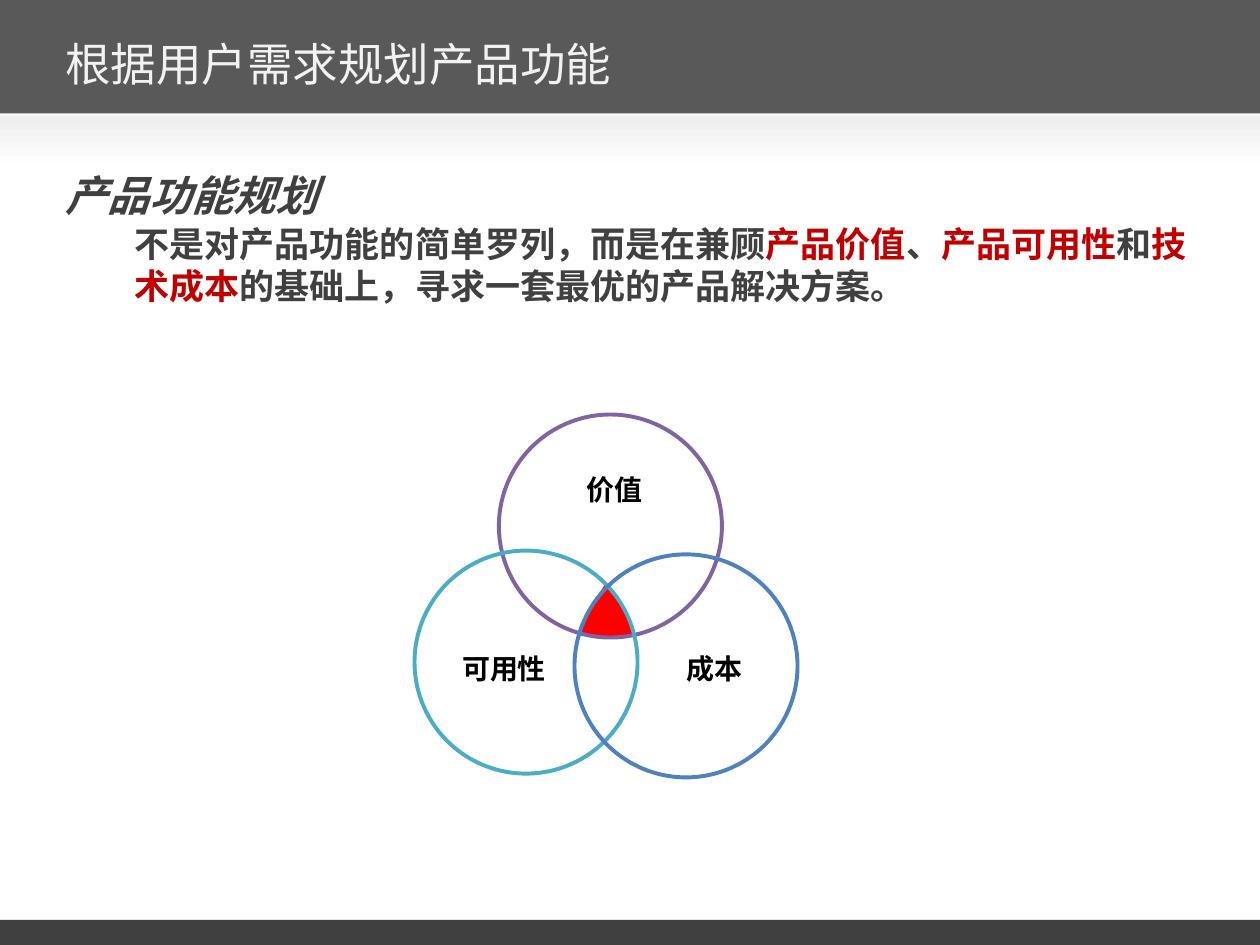
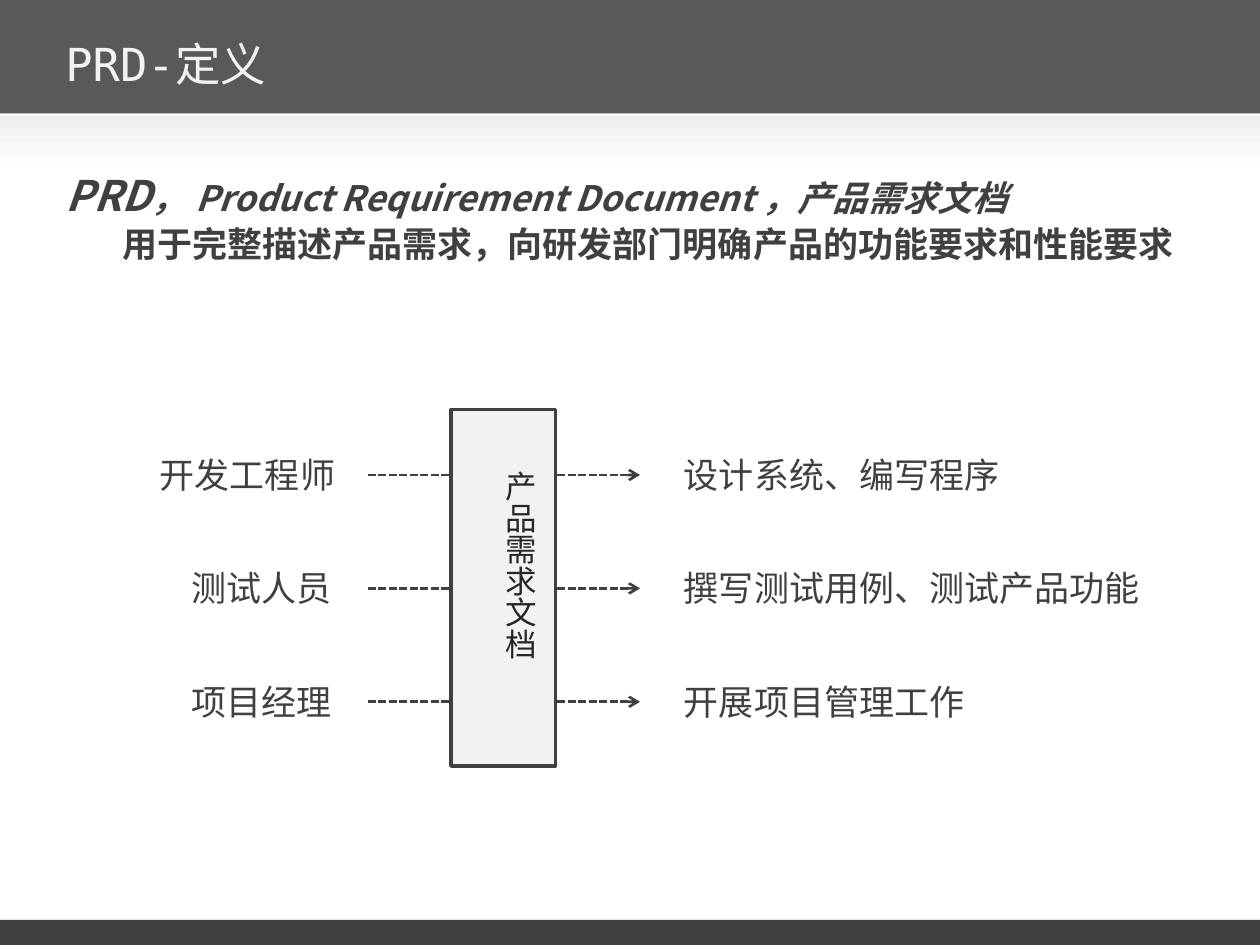
from dataclasses import dataclass

from lxml.etree import SubElement
from pptx import Presentation
from pptx.dml.color import RGBColor
from pptx.enum.dml import MSO_LINE_DASH_STYLE as Dash
from pptx.enum.shapes import MSO_CONNECTOR as Connector, MSO_SHAPE as Shape
from pptx.enum.text import MSO_ANCHOR as Anchor, PP_ALIGN as Align
from pptx.oxml.ns import qn
from pptx.util import Inches, Pt

WHITE = RGBColor(0xFF, 0xFF, 0xFF)
BLACK = RGBColor(0x00, 0x00, 0x00)
DARK = RGBColor(0x40, 0x40, 0x40)
BAND = RGBColor(0x59, 0x59, 0x59)
PALE = RGBColor(0xF7, 0xF7, 0xF7)
FADE = RGBColor(0xEE, 0xEE, 0xEE)
LIGHT = RGBColor(0xF2, 0xF2, 0xF2)
INK = RGBColor(0x26, 0x26, 0x26)
ACCENT = RGBColor(0xC0, 0x00, 0x00)
RED = RGBColor(0xFF, 0x00, 0x00)
PURPLE = RGBColor(0x80, 0x64, 0xA2)
TEAL = RGBColor(0x4B, 0xAC, 0xC6)
BLUE = RGBColor(0x4F, 0x81, 0xBD)

HAN_FONT = "Noto Sans CJK SC"
TITLE_FONT = "DejaVu Sans Mono"
LABEL_FONT = "Arial"


@dataclass(frozen=True)
class Style:
    size: int
    color: RGBColor = DARK
    font: str = HAN_FONT
    bold: bool = False
    italic: bool = False


@dataclass(frozen=True)
class Span:
    text: str
    color: RGBColor | None = None
    size: int | None = None


@dataclass(frozen=True)
class Circle:
    left: float
    top: float
    color: RGBColor
    label: str
    label_left: float
    label_top: float


@dataclass(frozen=True)
class Role:
    name: str
    left: float
    task: str


TITLE = Style(26, LIGHT, TITLE_FONT)
HEADING = Style(24, bold=True, italic=True)
DETAIL = Style(20, bold=True)
ROLE = Style(20)
DOCUMENT = Style(18, INK)
VENN = Style(16, BLACK, LABEL_FONT, bold=True)

CIRCLES = [
    Circle(3.96, 3.29, PURPLE, "价值", 4.42, 3.7),
    Circle(3.29, 4.37, TEAL, "可用性", 3.54, 5.12),
    Circle(4.56, 4.4, BLUE, "成本", 5.21, 5.12),
]
CIRCLE_SIZE = 1.77
OVERLAP = [(4.8, 4.64), (4.94, 4.82), (5.03, 5.03), (4.79, 5.07), (4.59, 5.03), (4.7, 4.8)]

ROLES = [
    Role("开发工程师", 1.17, "设计系统、编写程序"),
    Role("测试人员", 1.42, "撰写测试用例、测试产品功能"),
    Role("项目经理", 1.42, "开展项目管理工作"),
]
ROLE_TOP, ROLE_STEP = 3.55, 0.9


def write(para, spans: list[Span], style: Style) -> None:
    font = para.font
    font.name, font.bold, font.italic = style.font, style.bold, style.italic
    font.size = Pt(style.size)
    font.color.rgb = style.color
    defaults = para._p.pPr.find(qn("a:defRPr"))
    SubElement(defaults, qn("a:ea")).set("typeface", HAN_FONT)
    for span in spans:
        run = para.add_run()
        run.text = span.text
        if span.color is not None:
            run.font.color.rgb = span.color
        if span.size is not None:
            run.font.size = Pt(span.size)


def add_box(page, left: float, top: float, width: float, height: float):
    box = page.shapes.add_textbox(Inches(left), Inches(top), Inches(width), Inches(height))
    box.text_frame.word_wrap = True
    return box.text_frame


def add_label(page, left: float, top: float, width: float, height: float,
              text: str, style: Style, align=Align.LEFT):
    frame = add_box(page, left, top, width, height)
    frame.paragraphs[0].alignment = align
    write(frame.paragraphs[0], [Span(text)], style)
    return frame


def paint(shape, fill: RGBColor | None = None, line: RGBColor | None = None,
          weight: float = 1) -> None:
    shape.shadow.inherit = False
    if fill is None:
        shape.fill.background()
    else:
        shape.fill.solid()
        shape.fill.fore_color.rgb = fill
    if line is None:
        shape.line.fill.background()
    else:
        shape.line.color.rgb = line
        shape.line.width = Pt(weight)


def add_shape(page, kind, left: float, top: float, width: float, height: float,
              fill: RGBColor | None = None, line: RGBColor | None = None, weight: float = 1):
    shape = page.shapes.add_shape(kind, Inches(left), Inches(top), Inches(width), Inches(height))
    paint(shape, fill, line, weight)
    return shape


def add_page(deck, title: str):
    page = deck.slides.add_slide(deck.slide_layouts[6])
    for top, height, color in [(0, 1, PALE), (7.3, 0.2, DARK), (0, 0.9, BAND)]:
        add_shape(page, Shape.RECTANGLE, 0, top, 10, height, color)
    fade = add_shape(page, Shape.RECTANGLE, 0, 0.92, 10, 0.42)
    fade.fill.gradient()
    fade.fill.gradient_angle = 270
    for stop, position, color in zip(fade.fill.gradient_stops, (0, 1), (FADE, WHITE)):
        stop.position = position
        stop.color.rgb = color
    frame = add_label(page, 0.42, 0.17, 8.08, 0.67, title, TITLE)
    frame.vertical_anchor = Anchor.MIDDLE
    return page


def add_body(page, width: float, heading: list[Span], detail: list[Span], indent: float) -> None:
    frame = add_box(page, 0.42, 1.3, width, 1.37)
    write(frame.paragraphs[0], heading, HEADING)
    para = frame.add_paragraph()
    para.space_before = Pt(1)
    para._p.get_or_add_pPr().set("marL", str(Inches(indent)))
    write(para, detail, DETAIL)


def add_arrow(page, left: float, right: float, y: float) -> None:
    arrow = page.shapes.add_connector(
        Connector.STRAIGHT, Inches(left), Inches(y), Inches(right), Inches(y))
    arrow.line.color.rgb = DARK
    arrow.line.width = Pt(1.5)
    arrow.line.dash_style = Dash.SQUARE_DOT
    SubElement(arrow.line._get_or_add_ln(), qn("a:tailEnd")).set("type", "arrow")
    SubElement(arrow._element.spPr, qn("a:effectLst"))


def add_planning_page(deck) -> None:
    page = add_page(deck, "根据用户需求规划产品功能")
    detail = [
        Span("不是对产品功能的简单罗列，而是在兼顾"),
        Span("产品价值", ACCENT),
        Span("、"),
        Span("产品可用性", ACCENT),
        Span("和"),
        Span("技术成本", ACCENT),
        Span("的基础上，寻求一套最优的产品解决方案。"),
    ]
    add_body(page, 9.17, [Span("产品功能规划")], detail, 0.55)
    for circle in CIRCLES:
        add_label(page, circle.label_left, circle.label_top, 0.92, 0.37,
                  circle.label, VENN, Align.CENTER)
    start, *rest = [(Inches(x), Inches(y)) for x, y in OVERLAP]
    outline = page.shapes.build_freeform(*start)
    outline.add_line_segments(rest)
    paint(outline.convert_to_shape(), RED)
    for circle in CIRCLES:
        add_shape(page, Shape.OVAL, circle.left, circle.top, CIRCLE_SIZE, CIRCLE_SIZE,
                  line=circle.color, weight=2.25)


def add_definition_page(deck) -> None:
    page = add_page(deck, "PRD-定义")
    heading = [Span("PRD"), Span("， Product Requirement Document ，产品需求文档", size=20)]
    detail = [Span("用于完整描述产品需求，向研发部门明确产品的功能要求和性能要求")]
    add_body(page, 9.42, heading, detail, 0.45)
    for row, role in enumerate(ROLES):
        top = ROLE_TOP + row * ROLE_STEP
        add_label(page, role.left, top, 1.75, 0.52, role.name, ROLE)
        add_label(page, 5.33, top, 4, 0.52, role.task, ROLE)
        add_arrow(page, 2.92, 5.08, top + 0.22)
    add_shape(page, Shape.RECTANGLE, 3.58, 3.25, 0.83, 2.83, LIGHT, DARK, 2)
    frame = add_label(page, 3.83, 3.64, 0.5, 1.87, "产品需求文档", DOCUMENT, Align.CENTER)
    frame._txBody.bodyPr.set("vert", "eaVert")


def main() -> None:
    deck = Presentation()
    deck.slide_width, deck.slide_height = Inches(10), Inches(7.5)
    add_planning_page(deck)
    add_definition_page(deck)
    deck.save("out.pptx")


if __name__ == "__main__":
    main()
